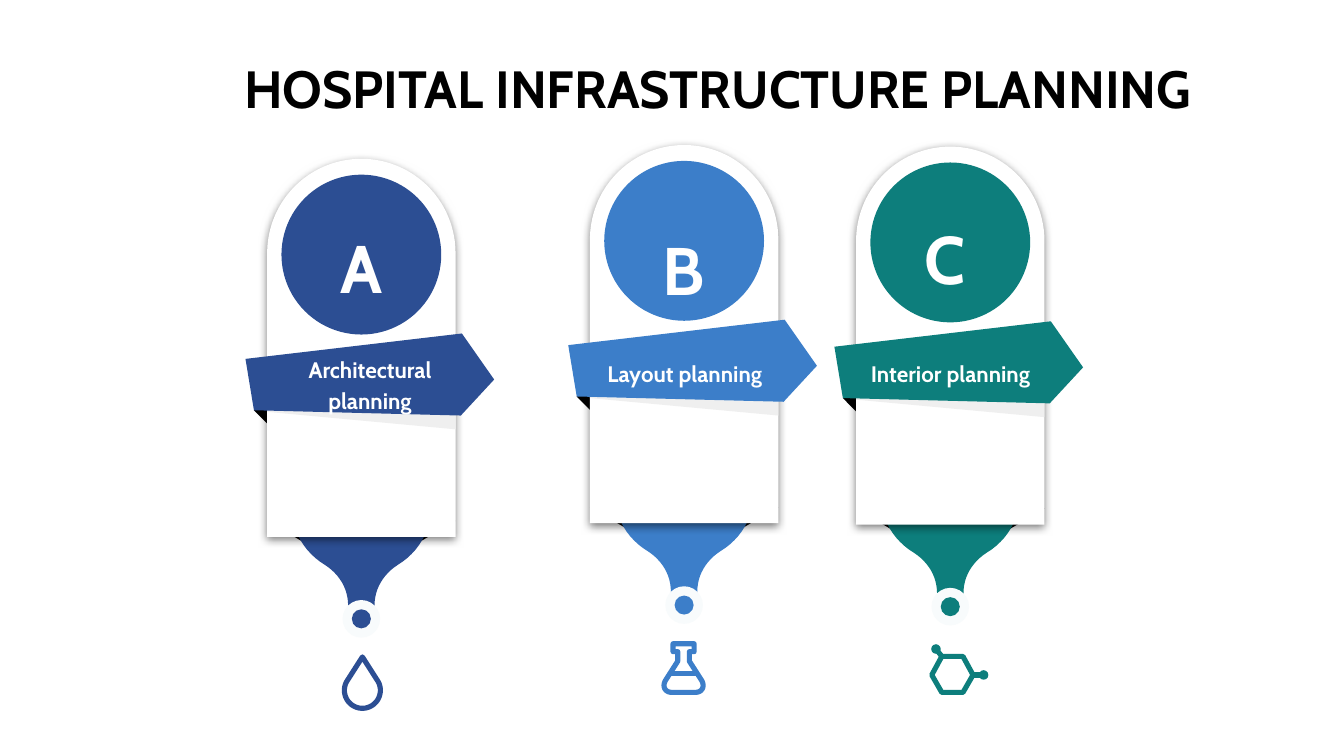
import math

import lxml.etree
import pptx
import pptx.dml.color
import pptx.enum.shapes
import pptx.enum.text
import pptx.oxml.ns
import pptx.util
from pptx.util import Cm, Pt

RGBColor = pptx.dml.color.RGBColor
Shape = pptx.enum.shapes.MSO_SHAPE
Align = pptx.enum.text.PP_ALIGN
NAVY = RGBColor(0x2C, 0x4E, 0x93)
BLUE = RGBColor(0x3C, 0x7E, 0xC9)
TEAL = RGBColor(0x0D, 0x7E, 0x7C)
BLACK = RGBColor(0x00, 0x00, 0x00)
WHITE = RGBColor(0xFF, 0xFF, 0xFF)
MIST = RGBColor(0xF8, 0xFB, 0xFC)
SHADE = RGBColor(0xEF, 0xEF, 0xEF)
FONT = "Cabin"
CARD_WIDTH = 3.56
CARD_CENTER = CARD_WIDTH / 2
ICON_LINE = Pt(2.75)


def paint(shape, color):
    shape.shadow.inherit = False
    shape.fill.solid()
    shape.fill.fore_color.rgb = color
    shape.line.fill.background()


def outline(shape, color):
    shape.shadow.inherit = False
    shape.fill.background()
    shape.line.color.rgb = color
    shape.line.width = ICON_LINE


def add_polygon(page, left, top, points):
    corners = [(Cm(left + x), Cm(top + y)) for x, y in points]
    builder = page.shapes.build_freeform(*corners[0])
    builder.add_line_segments(corners[1:], close=True)
    return builder.convert_to_shape()


def add_disc(page, center_x, center_y, size, color):
    disc = page.shapes.add_shape(
        Shape.OVAL, Cm(center_x - size / 2), Cm(center_y - size / 2), Cm(size), Cm(size))
    paint(disc, color)


def add_stroke(page, left, top, start, end, color):
    stroke = page.shapes.add_connector(
        pptx.enum.shapes.MSO_CONNECTOR.STRAIGHT,
        Cm(left + start[0]), Cm(top + start[1]), Cm(left + end[0]), Cm(top + end[1]))
    stroke.line.color.rgb = color
    stroke.line.width = ICON_LINE
    lxml.etree.SubElement(stroke._element.spPr, pptx.oxml.ns.qn("a:effectLst"))


def curve(start, first, second, end, steps=12):
    points = []
    for step in range(1, steps + 1):
        t = step / steps
        weights = ((1 - t) ** 3, 3 * t * (1 - t) ** 2, 3 * t * t * (1 - t), t ** 3)
        points.append(tuple(
            sum(weight * point[axis] for weight, point in zip(weights, (start, first, second, end)))
            for axis in (0, 1)))
    return points


def mirrored(points, width):
    return points + [(width - x, y) for x, y in reversed(points)]


def format_text(frame, text, size, color, align):
    frame.word_wrap = True
    frame.auto_size = pptx.enum.text.MSO_AUTO_SIZE.NONE
    frame.vertical_anchor = pptx.enum.text.MSO_ANCHOR.TOP
    frame.margin_left = frame.margin_right = Cm(0.25)
    frame.margin_top = frame.margin_bottom = Cm(0.25)
    para = frame.paragraphs[0]
    para.text = text
    para.alignment = align
    para.font.name = FONT
    para.font.size = Pt(size)
    para.font.bold = True
    para.font.color.rgb = color
    return para


def add_label(page, left, top, place, text, size, align=Align.CENTER):
    x, y, width, height = place
    box = page.shapes.add_textbox(Cm(left + x), Cm(top + y), Cm(width), Cm(height))
    format_text(box.text_frame, text, size, WHITE, align).line_spacing = 1.15


def add_title(page, left, top, width, height, text):
    title = page.shapes.title
    title.left, title.top, title.width, title.height = Cm(left), Cm(top), Cm(width), Cm(height)
    para = format_text(title.text_frame, text, 28, BLACK, Align.CENTER)
    para.line_spacing = 1.0
    para.space_before = Pt(0)


def add_drop(page, left, top, color):
    angles = [math.radians(angle) for angle in range(-28, 209, 4)]
    bowl = [(0.38 + 0.34 * math.cos(a), 0.69 + 0.34 * math.sin(a)) for a in angles]
    outline(add_polygon(page, left, top, [(0.38, 0.06)] + bowl), color)


def add_flask(page, left, top, color):
    side = [(0.62, 0.05), (0.62, 0.2), (0.53, 0.2), (0.53, 0.38), (0.76, 0.74)]
    side += curve(side[-1], (0.83, 0.86), (0.77, 0.97), (0.64, 0.97))
    outline(add_polygon(page, left, top, mirrored(side, 0.84)), color)
    add_stroke(page, left, top, (0.18, 0.61), (0.66, 0.61), color)


def add_molecule(page, left, top, color):
    ring = [(0.65, 0.23), (0.84, 0.58), (0.65, 0.91), (0.25, 0.91), (0.06, 0.58), (0.25, 0.23)]
    outline(add_polygon(page, left, top, ring), color)
    for corner, atom in ((ring[5], (0.14, 0.09)), (ring[1], (1.04, 0.58))):
        add_stroke(page, left, top, corner, atom, color)
        add_disc(page, left + atom[0], top + atom[1], 0.18, color)


def add_card(page, left, top):
    card = page.shapes.add_shape(
        Shape.ROUND_2_SAME_RECTANGLE, Cm(left), Cm(top), Cm(CARD_WIDTH), Cm(7.14))
    card.adjustments[0] = 0.5
    paint(card, WHITE)
    effects = card._element.spPr.find(pptx.oxml.ns.qn("a:effectLst"))
    shadow = lxml.etree.SubElement(
        effects, pptx.oxml.ns.qn("a:outerShdw"),
        blurRad=str(Pt(4.5)), dist=str(Pt(1.5)), dir="5400000", algn="t", rotWithShape="0")
    tone = lxml.etree.SubElement(shadow, pptx.oxml.ns.qn("a:srgbClr"), val=str(BLACK))
    lxml.etree.SubElement(tone, pptx.oxml.ns.qn("a:alpha"), val="50000")


def add_marker(page, left, top, color):
    funnel = [(0.46, 5.74), (0.46, 6.55)]
    funnel += curve(funnel[-1], (0.46, 7.04), (0.71, 7.44), (1.09, 7.67))
    funnel += curve(funnel[-1], (1.37, 7.85), (1.53, 8.13), (1.53, 8.43))
    funnel.append((1.53, 8.69))
    backing = [(0, 6.84), (CARD_CENTER, 7.88), (CARD_WIDTH, 6.84)]
    fold = [(0.94, 4.42), (-0.25, 4.75), (0.71, 5.72)]
    wedge = [(CARD_WIDTH, 3.58), (0, 3.76), (0, 4.78), (CARD_WIDTH, 5.11)]
    ribbon = [(3.68, 3.3), (-0.41, 3.78), (-0.25, 4.75), (3.66, 4.85), (4.29, 4.17)]

    paint(add_polygon(page, left, top, backing), BLACK)
    paint(add_polygon(page, left, top, mirrored(funnel, CARD_WIDTH)), color)
    paint(add_polygon(page, left, top, fold), BLACK)
    add_card(page, left, top)
    paint(add_polygon(page, left, top, wedge), SHADE)
    add_disc(page, left + CARD_CENTER, top + 1.81, 3.02, color)
    paint(add_polygon(page, left, top, ribbon), color)
    add_disc(page, left + CARD_CENTER, top + 8.69, 0.71, MIST)
    add_disc(page, left + CARD_CENTER, top + 8.69, 0.36, color)


def main():
    deck = pptx.Presentation()
    deck.slide_width, deck.slide_height = Cm(25.4), Cm(14.28)
    page = deck.slides.add_slide(deck.slide_layouts[5])
    add_title(page, 1.73, 0.81, 23.67, 1.6, "HOSPITAL INFRASTRUCTURE PLANNING")
    markers = [
        (5.05, 3.0, NAVY, add_drop, (1.42, 9.35), "A", (0.3, 0.79, 2.97, 1.6),
         "Architectural planning", (-0.2, 3.4, 4.29, 1.4), Align.CENTER),
        (11.15, 2.74, BLUE, add_flask, (1.35, 9.37), "B", (-0.28, 1.09, 4.11, 1.4),
         "Layout planning", (0.08, 3.73, 3.76, 1.07), Align.LEFT),
        (16.18, 2.77, TEAL, add_molecule, (1.37, 9.4), "C", (-0.13, 0.86, 3.63, 1.6),
         "Interior planning", (-0.41, 3.71, 4.39, 1.19), Align.CENTER),
    ]
    for left, top, color, add_icon, icon, letter, letter_place, name, name_place, align in markers:
        add_marker(page, left, top, color)
        add_icon(page, left + icon[0], top + icon[1], color)
        add_label(page, left, top, letter_place, letter, 36)
        add_label(page, left, top, name_place, name, 12, align)
    deck.save("out.pptx")


if __name__ == "__main__":
    main()
